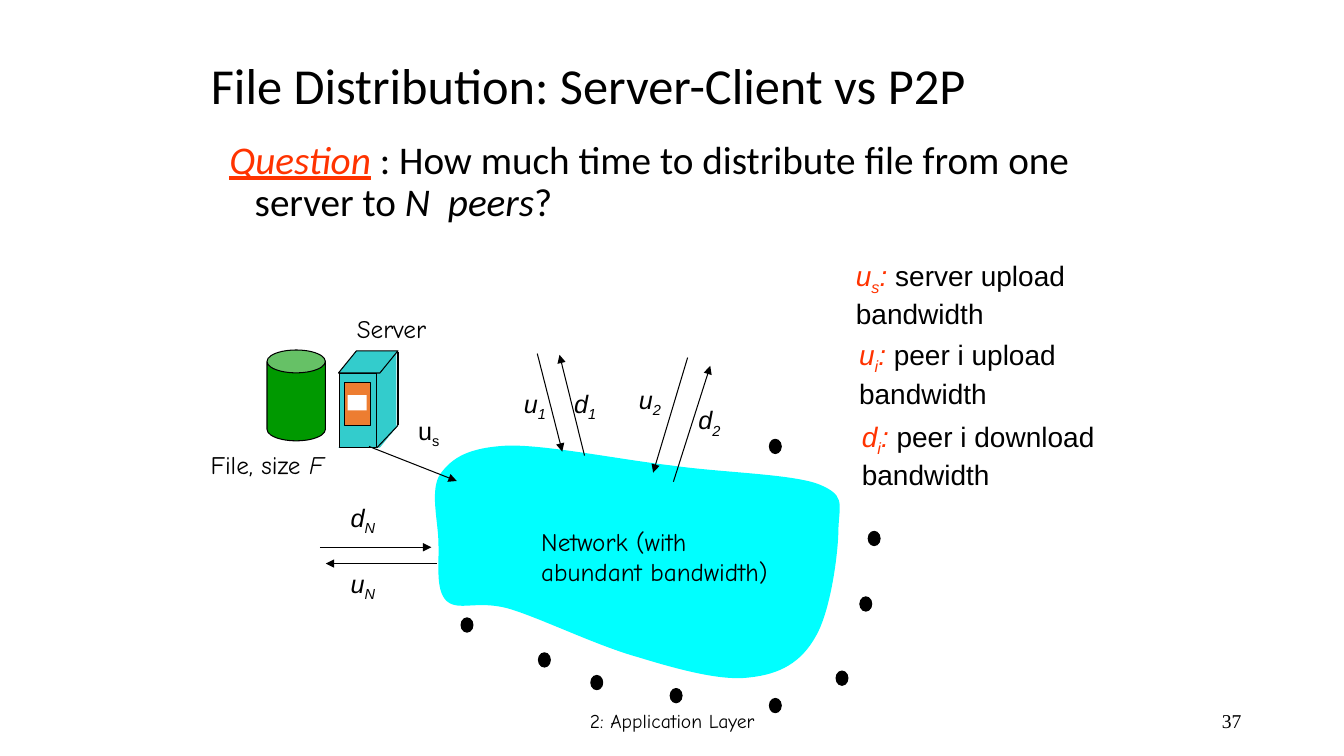
"""Build the slide on file distribution from a server to peers."""
from typing import NamedTuple

import pptx
import pptx.dml.color
import pptx.enum.shapes
import pptx.enum.text
import pptx.oxml
import pptx.oxml.ns
import pptx.util

Cm = pptx.util.Cm
Pt = pptx.util.Pt
Kind = pptx.enum.shapes.MSO_SHAPE
Align = pptx.enum.text.PP_ALIGN
Anchor = pptx.enum.text.MSO_ANCHOR
Fit = pptx.enum.text.MSO_AUTO_SIZE

COLORS = {"black": "000000", "white": "FFFFFF", "red": "FF3300", "cyan": "00FFFF",
          "teal": "33CCCC", "orange": "ED7D31", "green": "009900"}
COMIC = "Comic Neue"


class Box(NamedTuple):
    left: float
    top: float
    width: float
    height: float = 1.02


class Run(NamedTuple):
    text: str
    color: str = "black"
    italic: bool = False
    sub: bool = False
    under: bool = False


class Part(NamedTuple):
    kind: int
    box: Box
    fill: str
    edge: bool = True
    adjust: float | None = None


class Line(NamedTuple):
    x1: float
    y1: float
    x2: float
    y2: float
    arrow: bool = True


class Label(NamedTuple):
    name: str
    sub: str
    left: float
    top: float


class Term(NamedTuple):
    name: str
    sub: str
    sense: str
    left: float
    top: float


SERVER = [
    Part(Kind.PARALLELOGRAM, Box(8.53, 10.72, 1.5, 0.56), "teal", False, 0.814),
    Part(Kind.RECTANGLE, Box(9.3, 8.86, 0.69, 1.88), "teal", False),
    Part(Kind.RECTANGLE, Box(8.56, 9.4, 0.94, 1.88), "teal"),
    Part(Kind.PARALLELOGRAM, Box(8.53, 8.84, 1.5, 0.56), "teal", True, 0.814),
    Line(10.03, 8.86, 10.03, 10.72, False),
    Line(10.03, 10.72, 9.5, 11.28, False),
    Part(Kind.RECTANGLE, Box(8.69, 9.63, 0.64, 1.09), "orange"),
    Part(Kind.RECTANGLE, Box(8.76, 9.96, 0.48, 0.38), "white", False),
]
DISK = Part(Kind.CAN, Box(6.73, 8.82, 1.47, 2.29), "green", True, 0.392)
DOTS = [(11.62, 15.57), (13.57, 16.45), (14.89, 17.02), (16.89, 17.35), (19.39, 17.6),
        (21.07, 16.91), (21.67, 15.04), (19.39, 11.07), (21.88, 13.39)]
ARROWS = [
    Line(9.3, 11.25, 11.51, 12.12),
    Line(14.73, 11.48, 14.1, 8.94),
    Line(13.54, 8.91, 14.17, 11.38),
    Line(17.33, 9.01, 16.46, 11.91),
    Line(16.97, 12.14, 17.9, 9.22),
    Line(8.06, 13.79, 10.87, 13.79),
    Line(11.01, 14.2, 8.21, 14.2),
]
LABELS = [Label("u", "1", 12.95, 9.65), Label("d", "1", 14.22, 9.65),
          Label("u", "2", 15.85, 9.55), Label("d", "2", 17.35, 10.07),
          Label("u", "N", 8.59, 14.2), Label("d", "N", 8.59, 12.53)]
TERMS = [Term("u", "s", " server upload bandwidth", 21.32, 6.39),
         Term("u", "i", " peer i upload bandwidth", 21.4, 8.39),
         Term("d", "i", " peer i download bandwidth", 21.47, 10.45)]
START = (12.78, 11.23)
CURVES = [
    ((11.81, 11.28), (11.4, 11.53), (11.1, 11.94)),
    ((10.82, 12.34), (11.05, 13.16), (11.05, 13.69)),
    ((11.07, 14.22), (10.97, 14.86), (11.25, 15.14)),
    ((11.56, 15.42), (12.01, 15.11), (12.83, 15.34)),
    ((13.61, 15.57), (15.06, 16.28), (16.08, 16.56)),
    ((17.09, 16.87), (18.19, 17.17), (18.9, 17.07)),
    ((19.66, 16.99), (20.19, 16.69), (20.55, 16.05)),
    ((20.93, 15.42), (21.13, 13.94), (21.13, 13.31)),
    ((21.16, 12.67), (21.31, 12.47), (20.6, 12.19)),
    ((19.89, 11.94), (18.19, 11.91), (16.92, 11.73)),
    ((15.62, 11.58), (13.74, 11.2), START),
]


def tint(name: str) -> pptx.dml.color.RGBColor:
    """Return the named colour."""
    return pptx.dml.color.RGBColor.from_string(COLORS[name])


def node(tag: str, attrs: str = ""):
    """Return a new drawing element."""
    return pptx.oxml.parse_xml(f'<a:{tag} {pptx.oxml.ns.nsdecls("a")} {attrs}/>')


def write(slide, box: Box, *paras: list[Run], shape=None, font: str = "Arial",
          size: int = 18, align=Align.LEFT, anchor=Anchor.TOP, wrap: bool = True,
          fit=Fit.SHAPE_TO_FIT_TEXT, space: float | None = None, hang: float = 0) -> None:
    """Write formatted paragraphs in a new text box or a given shape."""
    shape = shape or slide.shapes.add_textbox(0, 0, 0, 0)
    shape.left, shape.top, shape.width, shape.height = map(Cm, box)
    frame = shape.text_frame
    frame.auto_size = fit
    frame.word_wrap = wrap
    frame.vertical_anchor = anchor
    for index, runs in enumerate(paras):
        para = frame.add_paragraph() if index else frame.paragraphs[0]
        para.alignment = align
        para.line_spacing = space
        if hang:
            props = para._p.get_or_add_pPr()
            props.set("marL", str(Cm(hang)))
            props.set("indent", str(-Cm(hang)))
        for item in runs:
            run = para.add_run()
            run.text = item.text
            run.font.name, run.font.size = font, Pt(size)
            run.font.color.rgb = tint(item.color)
            run.font.italic, run.font.underline = item.italic, item.under
            if item.sub:
                run._r.get_or_add_rPr().set("baseline", "-25000")


def paint(shape, fill: str, edge: bool) -> None:
    """Set the fill and outline of a shape."""
    shape.shadow.inherit = False
    shape.fill.solid()
    shape.fill.fore_color.rgb = tint(fill)
    if edge:
        shape.line.color.rgb = tint("black")
        shape.line.width = Pt(0.75)
    else:
        shape.line.fill.background()


def link(shapes, line: Line) -> None:
    """Draw a line, with an arrowhead at its end if asked."""
    wire = shapes.add_connector(pptx.enum.shapes.MSO_CONNECTOR.STRAIGHT, *map(Cm, line[:4]))
    wire.line.color.rgb = tint("black")
    wire.line.width = Pt(0.75)
    if line.arrow:
        wire.line._get_or_add_ln().append(node("tailEnd", 'type="triangle"'))
    wire._element.spPr.append(node("effectLst"))


def draw(shapes, part: Part | Line) -> None:
    """Draw a preset shape or a line."""
    if isinstance(part, Line):
        link(shapes, part)
        return
    shape = shapes.add_shape(part.kind, *map(Cm, part.box))
    if part.adjust is not None:
        shape.adjustments[0] = part.adjust
    paint(shape, part.fill, part.edge)


def cloud(shapes) -> None:
    """Draw the network outline with true cubic curves."""
    form = shapes.build_freeform(*map(Cm, START))
    form.add_line_segments([tuple(map(Cm, dot)) for curve in CURVES for dot in curve])
    shape = form.convert_to_shape()
    paint(shape, "cyan", False)
    steps = shape._element.findall(".//" + pptx.oxml.ns.qn("a:lnTo"))
    for index in range(0, len(CURVES) * 3, 3):
        curve = node("cubicBezTo")
        steps[index].addprevious(curve)
        for step in steps[index:index + 3]:
            curve.append(step[0])
            step.getparent().remove(step)


def main() -> None:
    """Build and save the slide."""
    deck = pptx.Presentation()
    deck.slide_width, deck.slide_height = Cm(33.87), Cm(19.05)
    slide = deck.slides.add_slide(deck.slide_layouts[5])
    shapes = slide.shapes
    write(slide, Box(5.06, 0.64, 23.67, 3.18), [Run("File Distribution: Server-Client vs P2P")],
          shape=shapes.title, font="Calibri", size=36, anchor=Anchor.MIDDLE, space=0.9,
          fit=Fit.NONE)
    write(slide, Box(5.53, 3.41, 22.94, 3.18),
          [Run("Question", "red", italic=True, under=True),
           Run(" : How much time to distribute file from one server to "),
           Run("N  peers", italic=True), Run("?")],
          font="Calibri", size=28, space=0.9, hang=0.64, fit=Fit.NONE)
    cloud(shapes)
    group = shapes.add_group_shape()
    for part in SERVER:
        draw(group.shapes, part)
    dots = [Part(Kind.OVAL, Box(x, y, 0.3, 0.36), "black") for x, y in DOTS]
    for part in [DISK, *dots, *ARROWS]:
        draw(shapes, part)
    write(slide, Box(10.29, 10.34, 1.07), [Run("u"), Run("s", sub=True)], wrap=False)
    for name, sub, left, top in LABELS:
        write(slide, Box(left, top, 1.7),
              [Run(name, italic=True), Run(sub, italic=True, sub=True)])
    for name, sub, sense, left, top in TERMS:
        write(slide, Box(left, top, 7.19, 1.96),
              [Run(name, "red", True), Run(sub, "red", True, True), Run(":", "red", True),
               Run(sense)], size=20)
    write(slide, Box(8.24, 7.77, 3.25), [Run("Server")], font=COMIC, align=Align.CENTER)
    write(slide, Box(4.43, 11.2, 4.6), [Run("File, size "), Run("F", italic=True)],
          font=COMIC, align=Align.CENTER)
    write(slide, Box(13.39, 13.13, 6.68, 1.78), [Run("Network (with")],
          [Run("abundant bandwidth)")], font=COMIC, wrap=False)
    write(slide, Box(11.23, 17.65, 11.43), [Run("2: Application Layer")], font=COMIC,
          size=14, align=Align.CENTER, anchor=Anchor.MIDDLE, fit=Fit.NONE)
    write(slide, Box(23.92, 17.65, 7.62), [Run("37")], font="Times New Roman",
          size=14, align=Align.RIGHT, anchor=Anchor.MIDDLE, fit=Fit.NONE)
    deck.save("out.pptx")


if __name__ == "__main__":
    main()
